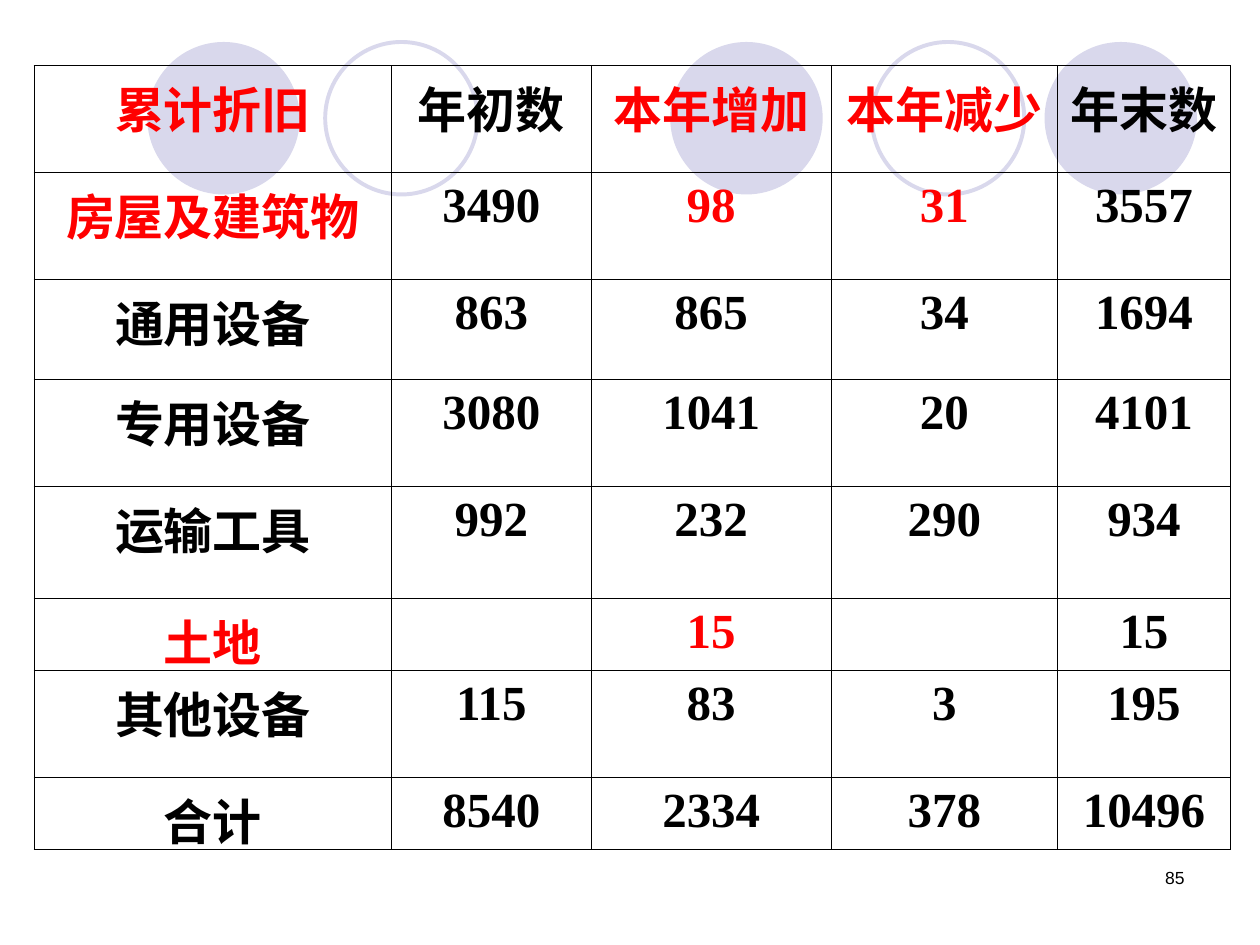
from lxml import etree
from pptx import Presentation
from pptx import util as u
from pptx.dml.color import RGBColor
from pptx.enum import shapes, text
from pptx.oxml import ns

BLACK = RGBColor(0x00, 0x00, 0x00)
RED = RGBColor(0xFF, 0x00, 0x00)
LILAC = RGBColor(0xD9, 0xD8, 0xEC)

COLUMN_WIDTHS = [204.5, 113.8, 137.5, 128.9, 99.3]
ROW_HEIGHTS = [61.2, 61.2, 56.9, 61.2, 64.1, 41, 61.2, 41]
ROWS = [
    ["累计折旧", "年初数", "本年增加", "本年减少", "年末数"],
    ["房屋及建筑物", "3490", "98", "31", "3557"],
    ["通用设备", "863", "865", "34", "1694"],
    ["专用设备", "3080", "1041", "20", "4101"],
    ["运输工具", "992", "232", "290", "934"],
    ["土地", "", "15", "", "15"],
    ["其他设备", "115", "83", "3", "195"],
    ["合计", "8540", "2334", "378", "10496"],
]
RED_ROWS = {0, 1, 5}
RED_COLUMNS = {0, 2, 3}


class SlideBuilder:
    label_font = "Noto Sans CJK SC"
    number_font = "Times New Roman"
    page_font = "Arial"

    def __init__(self, slide):
        self.slide = slide

    def circle(self, left, top, size, filled):
        shape = self.slide.shapes.add_shape(
            shapes.MSO_SHAPE.OVAL, u.Pt(left), u.Pt(top), u.Pt(size), u.Pt(size))
        shape.shadow.inherit = False
        if filled:
            shape.fill.solid()
            shape.fill.fore_color.rgb = LILAC
            shape.line.fill.background()
        else:
            shape.fill.background()
            shape.line.color.rgb = LILAC
            shape.line.width = u.Pt(2.25)

    def set_text(self, frame, words, font, size, color, align, bold=False):
        para = frame.paragraphs[0]
        para.text = words
        para.alignment = align
        para.font.size = u.Pt(size)
        para.font.bold = bold
        para.font.color.rgb = color
        para.font.name = font
        # East Asian letters take their font from a separate element
        defaults = para._p.pPr.find(ns.qn("a:defRPr"))
        etree.SubElement(defaults, ns.qn("a:ea"), typeface=font)

    def text_box(self, left, top, width, height, words):
        box = self.slide.shapes.add_textbox(
            u.Pt(left), u.Pt(top), u.Pt(width), u.Pt(height))
        box.text_frame.word_wrap = True
        self.set_text(box.text_frame, words, self.page_font, 10, BLACK,
                      text.PP_ALIGN.RIGHT)

    def border(self, cell, width):
        properties = cell._tc.get_or_add_tcPr()
        for index, side in enumerate(("lnL", "lnR", "lnT", "lnB")):
            line = etree.Element(ns.qn(f"a:{side}"), w=str(u.Pt(width)))
            fill = etree.SubElement(line, ns.qn("a:solidFill"))
            etree.SubElement(fill, ns.qn("a:srgbClr"), val=str(BLACK))
            properties.insert(index, line)

    def table(self, left, top, rows, widths, heights):
        table = self.slide.shapes.add_table(
            len(rows), len(widths), u.Pt(left), u.Pt(top),
            u.Pt(sum(widths)), u.Pt(sum(heights))).table
        table.first_row = table.horz_banding = False
        for column, width in zip(table.columns, widths):
            column.width = u.Pt(width)
        for row, height in zip(table.rows, heights):
            row.height = u.Pt(height)
        for r, row in enumerate(rows):
            for c, words in enumerate(row):
                cell = table.cell(r, c)
                cell.fill.background()
                self.border(cell, 0.45)
                if words:
                    font = self.label_font if r == 0 or c == 0 else self.number_font
                    red = r in RED_ROWS and c in RED_COLUMNS
                    self.set_text(cell.text_frame, words, font, 28,
                                  RED if red else BLACK,
                                  text.PP_ALIGN.CENTER, bold=True)


def main():
    deck = Presentation()
    deck.slide_width, deck.slide_height = u.Pt(720), u.Pt(540)
    page = SlideBuilder(deck.slides.add_slide(deck.slide_layouts[6]))

    # Background circles
    for left, filled in [(383, True), (596.9, True), (84.2, True),
                         (498.2, False), (185.8, False)]:
        page.circle(left, 24, 87.1, filled)

    # Page number
    page.text_box(516.2, 491.8, 167.8, 36, "85")

    # Accumulated depreciation table
    page.table(19.4, 37.4, ROWS, COLUMN_WIDTHS, ROW_HEIGHTS)

    deck.save("out.pptx")


if __name__ == "__main__":
    main()
